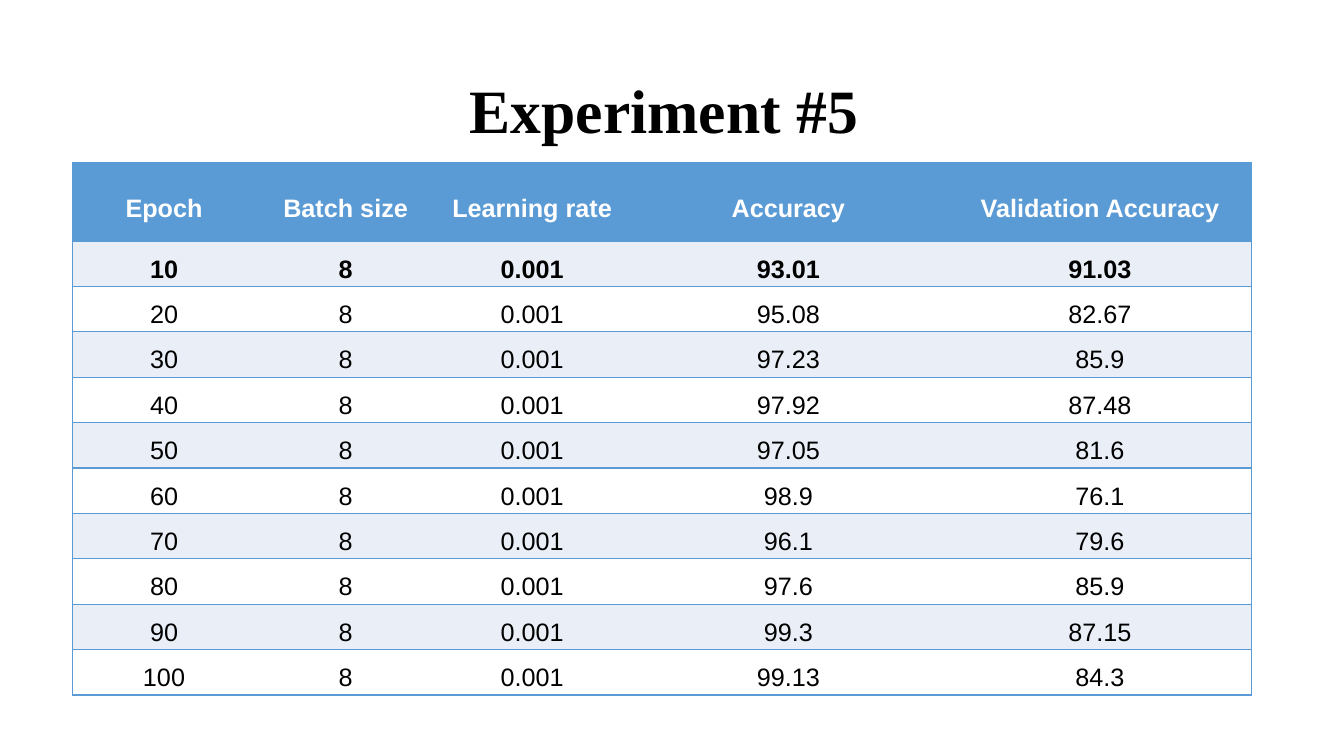
from typing import NamedTuple

from lxml import etree
from pptx import Presentation
from pptx.dml.color import RGBColor
from pptx.enum.text import MSO_ANCHOR, PP_ALIGN
from pptx.oxml.ns import qn
from pptx.util import Pt

CENTER = PP_ALIGN.CENTER
TOP, MIDDLE = MSO_ANCHOR.TOP, MSO_ANCHOR.MIDDLE

BLACK = RGBColor(0x00, 0x00, 0x00)
WHITE = RGBColor(0xFF, 0xFF, 0xFF)
BLUE = RGBColor(0x5B, 0x9B, 0xD5)
PALE_BLUE = RGBColor(0xEA, 0xEF, 0xF7)

HEADER_HEIGHT, ROW_HEIGHT = 56.1, 30.35
BATCH_SIZE, LEARNING_RATE = "8", "0.001"
BEST_EPOCH = "10"


class Column(NamedTuple):
    heading: str
    width: float


class Result(NamedTuple):
    epoch: str
    accuracy: str
    validation: str


class CellStyle(NamedTuple):
    fill: RGBColor
    color: RGBColor
    bold: bool
    anchor: MSO_ANCHOR


COLUMNS = [
    Column("Epoch", 130.5),
    Column("Batch size", 129),
    Column("Learning rate", 137.5),
    Column("Accuracy", 228.5),
    Column("Validation Accuracy", 216.75),
]

RESULTS = [
    Result("10", "93.01", "91.03"),
    Result("20", "95.08", "82.67"),
    Result("30", "97.23", "85.9"),
    Result("40", "97.92", "87.48"),
    Result("50", "97.05", "81.6"),
    Result("60", "98.9", "76.1"),
    Result("70", "96.1", "79.6"),
    Result("80", "97.6", "85.9"),
    Result("90", "99.3", "87.15"),
    Result("100", "99.13", "84.3"),
]


def add_run(p, text: str, font: str, size: float, color: RGBColor, bold: bool) -> None:
    r = p.add_run()
    r.text = text
    r.font.name = font
    r.font.size = Pt(size)
    r.font.color.rgb = color
    r.font.bold = bold


def set_borders(cell, sides: str) -> None:
    """Draw the sides named by the letters L, R, T and B; clear the others."""
    tc_pr = cell._tc.get_or_add_tcPr()
    for side in "LRTB":
        ln = etree.SubElement(tc_pr, qn(f"a:ln{side}"), w=str(Pt(1)))
        if side in sides:
            fill = etree.SubElement(ln, qn("a:solidFill"))
            etree.SubElement(fill, qn("a:srgbClr"), val=str(BLUE))
        else:
            etree.SubElement(ln, qn("a:noFill"))


def fill_cell(cell, text: str, style: CellStyle, sides: str) -> None:
    set_borders(cell, sides)
    cell.fill.solid()
    cell.fill.fore_color.rgb = style.fill
    cell.vertical_anchor = style.anchor
    cell.margin_left = cell.margin_right = Pt(5)
    cell.margin_top = cell.margin_bottom = Pt(0)
    p = cell.text_frame.paragraphs[0]
    p.alignment = CENTER
    p.line_spacing = 1.5
    p.space_after = Pt(5.3)
    add_run(p, text, "Arial", 18, style.color, style.bold)


def add_title(s) -> None:
    tf = s.shapes.add_textbox(Pt(66), Pt(28.75), Pt(828), Pt(104.4)).text_frame
    tf.word_wrap = True
    tf.vertical_anchor = MIDDLE
    p = tf.paragraphs[0]
    p.alignment = CENTER
    p.line_spacing = 0.9
    add_run(p, "Experiment #5 ", "Times New Roman", 44, BLACK, True)


def add_results_table(s) -> None:
    rows = [[column.heading for column in COLUMNS]]
    styles = [CellStyle(BLUE, WHITE, True, MIDDLE)]
    for i, result in enumerate(RESULTS):
        rows.append([result.epoch, BATCH_SIZE, LEARNING_RATE,
                     result.accuracy, result.validation])
        band = WHITE if i % 2 else PALE_BLUE
        styles.append(CellStyle(band, BLACK, result.epoch == BEST_EPOCH, TOP))

    width = sum(column.width for column in COLUMNS)
    height = HEADER_HEIGHT + ROW_HEIGHT * len(RESULTS)
    table = s.shapes.add_table(len(rows), len(COLUMNS), Pt(51.9), Pt(116.1),
                               Pt(width), Pt(height)).table
    for j, column in enumerate(COLUMNS):
        table.columns[j].width = Pt(column.width)
    last = len(COLUMNS) - 1
    for i, (texts, style) in enumerate(zip(rows, styles)):
        table.rows[i].height = Pt(ROW_HEIGHT if i else HEADER_HEIGHT)
        for j, text in enumerate(texts):
            sides = "TB" + ("L" if j == 0 else "") + ("R" if j == last else "")
            fill_cell(table.cell(i, j), text, style, sides)


def main() -> None:
    prs = Presentation()
    prs.slide_width, prs.slide_height = Pt(960), Pt(540)
    s = prs.slides.add_slide(prs.slide_layouts[6])
    add_title(s)
    add_results_table(s)
    prs.save("out.pptx")


if __name__ == "__main__":
    main()
